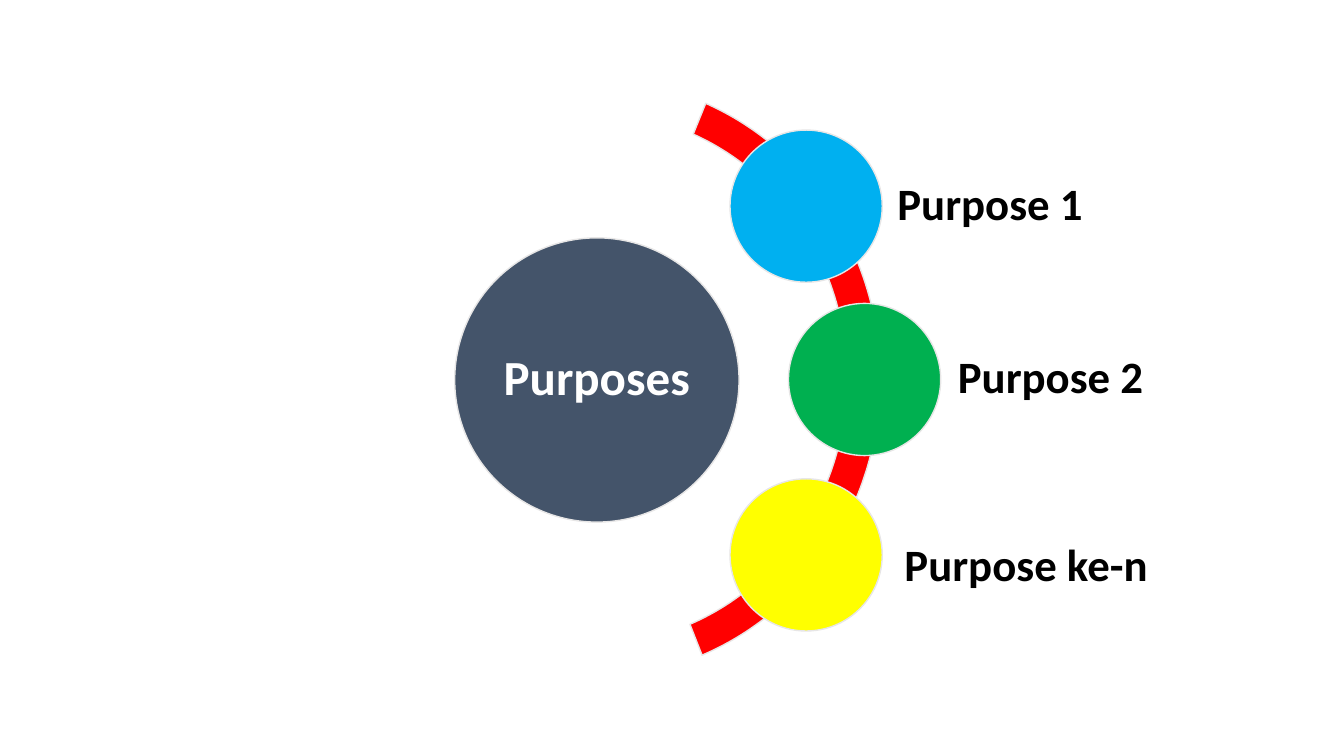
from pptx import Presentation
from pptx.dml.color import RGBColor
from pptx.enum.shapes import MSO_SHAPE
from pptx.enum.text import MSO_ANCHOR, PP_ALIGN
from pptx.util import Pt

PX = 9144  # EMU per px, 100 px to the inch
BLANK_LAYOUT = 6
CIRCLE, ARC = MSO_SHAPE.OVAL, MSO_SHAPE.BLOCK_ARC
MIDDLE = MSO_ANCHOR.MIDDLE
LEFT, CENTER = PP_ALIGN.LEFT, PP_ALIGN.CENTER

COLORS = {
    "hub": "44546A",
    "arc": "FF0000",
    "blue": "00B0F0",
    "green": "00B050",
    "yellow": "FFFF00",
    "outline": "E7E6E6",
    "hub_text": "FFFFFF",
    "label": "000000",
}

# Caption, circle colour, circle offset, label offset and label width
PURPOSES = [
    ("Purpose 1", "blue", (419, 50), (581, 52), 202),
    ("Purpose 2", "green", (477, 222), (641, 224), 202),
    ("Purpose ke-n", "yellow", (419, 396), (588, 411), 298),
]
NODE_SIZE = 151
LABEL_HEIGHT = 146


def color(name):
    return RGBColor.from_string(COLORS[name])


def emu(*lengths):
    return [length * PX for length in lengths]


def add_figure(slide, kind, box, fill):
    figure = slide.shapes.add_shape(kind, *emu(*box))
    figure.shadow.inherit = False
    figure.fill.solid()
    figure.fill.fore_color.rgb = color(fill)
    figure.line.color.rgb = color("outline")
    figure.line.width = Pt(1)
    return figure


def add_caption(slide, box, text, size, text_color, align, inset):
    frame = slide.shapes.add_textbox(*emu(*box)).text_frame
    frame.word_wrap = True
    frame.vertical_anchor = MIDDLE
    frame.margin_left = frame.margin_right = inset * PX
    frame.margin_top = frame.margin_bottom = inset * PX
    frame.text = text
    paragraph = frame.paragraphs[0]
    paragraph.alignment = align
    paragraph.line_spacing = 0.9
    font = paragraph.runs[0].font
    font.name = "Calibri"
    font.size = Pt(size)
    font.bold = True
    font.color.rgb = color(text_color)


def add_hub(slide, left, top, size):
    add_figure(slide, CIRCLE, (left, top, size, size), "hub")
    pad = 41
    inner = size - 2 * pad
    add_caption(slide, (left + pad, top + pad, inner, inner),
                "Purposes", 35, "hub_text", CENTER, 5)


def add_arc(slide, box):
    arc = add_figure(slide, ARC, box, "arc")
    start_degrees, end_degrees, thickness = 292.13, 68.65, 0.058
    # Angles are stored in 1/60000 degree, adjustments in 1/100000
    arc.adjustments[0] = start_degrees * 0.6
    arc.adjustments[1] = end_degrees * 0.6
    arc.adjustments[2] = thickness


def add_radial_diagram(slide, left, top, width, height):
    # Central circle and the arc behind the purposes
    add_hub(slide, left + 146, top + 157, 282)
    add_arc(slide, (left, top, width, height))

    # Purposes along the arc
    for text, fill, (node_x, node_y), (label_x, label_y), label_width in PURPOSES:
        add_figure(slide, CIRCLE,
                   (left + node_x, top + node_y, NODE_SIZE, NODE_SIZE), fill)
        add_caption(slide,
                    (left + label_x, top + label_y, label_width, LABEL_HEIGHT),
                    text, 32, "label", LEFT, 4)


def main():
    deck = Presentation()
    deck.slide_width, deck.slide_height = emu(1333, 750)
    slide = deck.slides.add_slide(deck.slide_layouts[BLANK_LAYOUT])
    add_radial_diagram(slide, 305, 79, 568, 593)
    deck.save("out.pptx")


if __name__ == "__main__":
    main()
